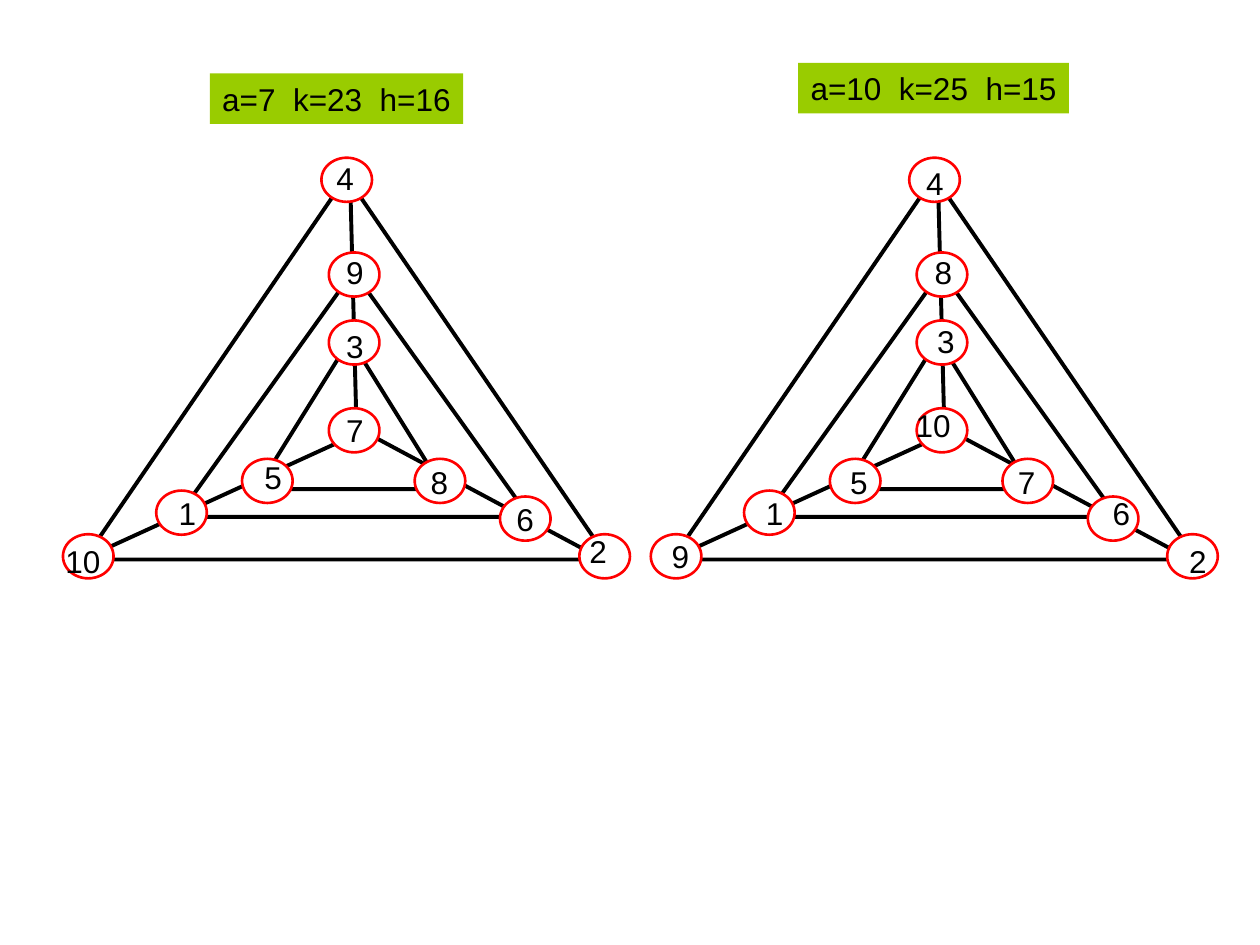
from lxml.etree import SubElement
from pptx import Presentation
from pptx.dml.color import RGBColor
from pptx.enum.shapes import MSO_CONNECTOR as CONN, MSO_SHAPE as SHAPE
from pptx.enum.text import MSO_ANCHOR as ANCHOR, MSO_AUTO_SIZE as FIT, PP_ALIGN as ALIGN
from pptx.oxml.ns import qn
from pptx.util import Cm, Pt

TEXT_HEIGHT = 1.02
NODE_SIZE = (1.02, 0.89)
SPOKES = [(0.71, 7.95, 5.94, 5.56), (5.92, 5.56, 5.79, 0.51), (10.85, 8.08, 5.92, 5.44)]
CENTRE = (5.36, 5.05)
RINGS = [
    ((0.43, 0.38, 10.57, 7.72), [(5.21, 0), (0, 7.59), (10.41, 7.59)]),
    ((2.31, 2.29, 7.09, 4.95), [(5.36, 1.91), (1.88, 6.71), (8.81, 6.83)]),
    ((3.91, 3.66, 3.76, 3.02), [(5.36, 3.28), (3.61, 6.07), (7.09, 6.07)]),
]
LEFT_LABELS = [
    ("7", 5.46, 4.98), ("10", -0.2, 7.62), ("1", 2.08, 6.65), ("5", 3.81, 5.92),
    ("2", 10.36, 7.42), ("6", 8.89, 6.78), ("8", 7.16, 6.02), ("4", 5.26, -0.1),
    ("9", 5.46, 1.8), ("3", 5.46, 3.28),
]
RIGHT_LABELS = [
    ("10", 5.09, 4.88), ("9", 0.17, 7.52), ("1", 2.07, 6.65), ("5", 3.77, 6.02),
    ("2", 10.6, 7.62), ("6", 9.06, 6.65), ("7", 7.15, 6.02), ("4", 5.3, 0),
    ("8", 5.47, 1.8), ("3", 5.52, 3.18),
]


def rgb(value):
    """Return the colour for a hex string."""
    return RGBColor.from_string(value)


def set_text(sp, text):
    """Write one line of plain black text in a shape that fits it."""
    tf = sp.text_frame
    tf.word_wrap = False
    tf.auto_size = FIT.SHAPE_TO_FIT_TEXT
    tf.vertical_anchor = ANCHOR.TOP
    p = tf.paragraphs[0]
    p.text = text
    p.alignment = ALIGN.LEFT
    p.font.name = "Arial"
    p.font.size = Pt(18)
    p.font.color.rgb = rgb("000000")


def add_outline(shapes, kind, box, color, width, fill=None):
    """Add an outlined shape, filled when a fill colour is given."""
    sp = shapes.add_shape(kind, *map(Cm, box))
    sp.shadow.inherit = False
    sp.line.color.rgb = rgb(color)
    sp.line.width = Pt(width)
    if fill:
        sp.fill.solid()
        sp.fill.fore_color.rgb = rgb(fill)
    else:
        sp.fill.background()


def add_spoke(shapes, ends):
    """Add a straight line from a corner to the centre."""
    line = shapes.add_connector(CONN.STRAIGHT, *map(Cm, ends))
    line.line.color.rgb = rgb("000000")
    line.line.width = Pt(2.25)
    SubElement(line._element.spPr, qn("a:effectLst"))


def add_caption(s, box, text):
    """Add a green caption with the values of a graph."""
    sp = s.shapes.add_shape(SHAPE.RECTANGLE, *map(Cm, box))
    sp.shadow.inherit = False
    sp.fill.solid()
    sp.fill.fore_color.rgb = rgb("99CC00")
    sp.line.fill.background()
    set_text(sp, text)


def add_graph(s, left, top, labels):
    """Add a group of nested triangles with numbered nodes."""
    shapes = s.shapes.add_group_shape().shapes
    for x1, y1, x2, y2 in SPOKES:
        add_spoke(shapes, (left + x1, top + y1, left + x2, top + y2))
    nodes = [CENTRE]
    for (x, y, w, h), corners in RINGS:
        add_outline(shapes, SHAPE.ISOSCELES_TRIANGLE, (left + x, top + y, w, h), "000000", 2.25)
        nodes += corners
    for x, y in nodes:
        add_outline(shapes, SHAPE.OVAL, (left + x, top + y, *NODE_SIZE), "FF0000", 1.5, "FFFFFF")
    for text, x, y in labels:
        width = 0.51 + 0.35 * len(text)
        tb = shapes.add_textbox(*map(Cm, (left + x, top + y, width, TEXT_HEIGHT)))
        set_text(tb, text)


def main():
    """Build the slide with both graphs and save it."""
    prs = Presentation()
    prs.slide_width, prs.slide_height = Cm(25.4), Cm(19.05)
    s = prs.slides.add_slide(prs.slide_layouts[6])
    add_caption(s, (4.23, 1.48, 5.11, TEXT_HEIGHT), "a=7  k=23  h=16")
    add_caption(s, (16.09, 1.27, 5.46, TEXT_HEIGHT), "a=10  k=25  h=15")
    add_graph(s, 1.27, 3.18, LEFT_LABELS)
    add_graph(s, 13.12, 3.18, RIGHT_LABELS)
    prs.save("out.pptx")


if __name__ == "__main__":
    main()
